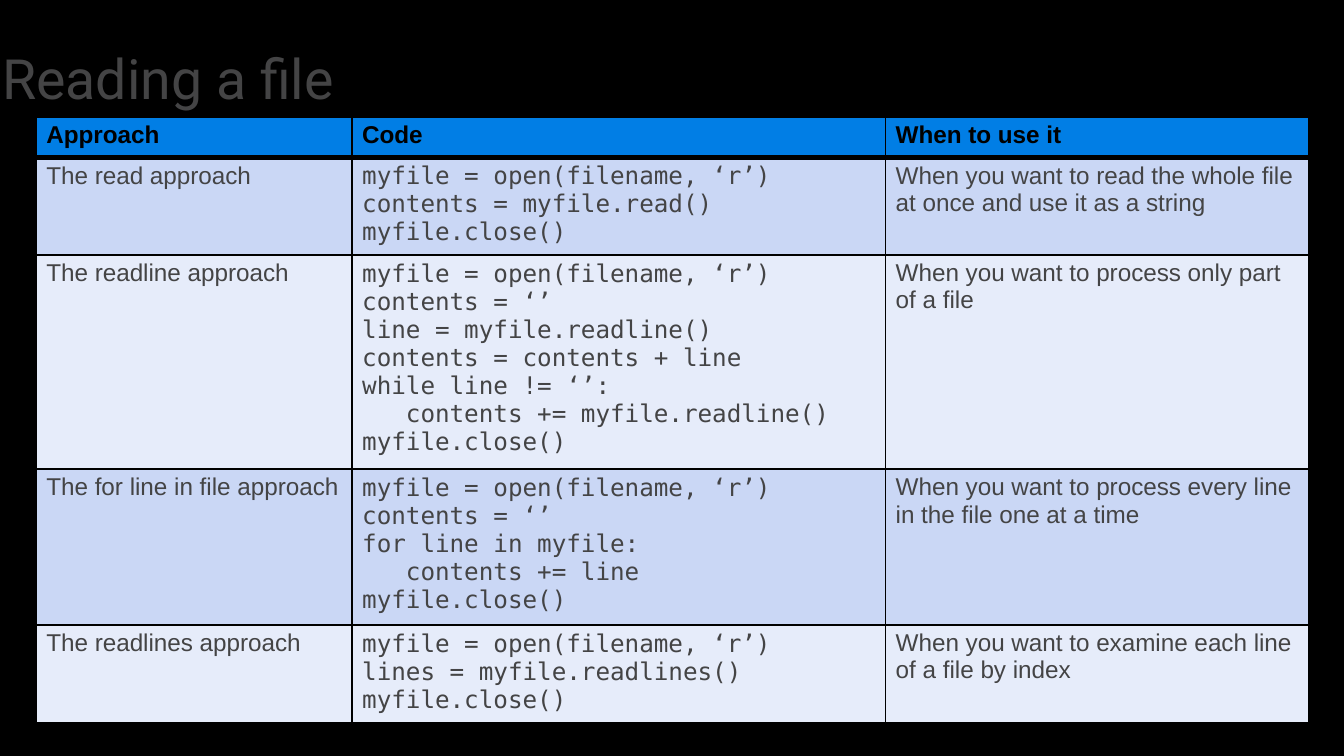
from typing import NamedTuple, Optional

from lxml import etree
from pptx import Presentation
from pptx.dml.color import RGBColor
from pptx.enum.text import MSO_ANCHOR
from pptx.oxml.ns import qn
from pptx.util import Inches, Pt

MIDDLE, TOP = MSO_ANCHOR.MIDDLE, MSO_ANCHOR.TOP
COLORS = {
    "black": "000000",
    "text": "444445",
    "header": "017EE5",
    "band": "CAD7F5",
    "light": "E6ECFA",
}
BODY_FONT, CODE_FONT, TITLE_FONT = "Arial", "DejaVu Sans Mono", "Roboto"
SLIDE_WIDTH = 10
SLIDE_HEIGHT = SLIDE_WIDTH * 9 / 16
COLUMN_WIDTHS = (2.35, 3.97, 3.15)
ROW_HEIGHT = 0.3  # rows grow to fit their text
FRAME_SIDE = 3.28
INSET = 0.3 / 4  # side inset; top and bottom take half


class Approach(NamedTuple):
    name: str
    code: str
    usage: str


HEADINGS = ("Approach", "Code", "When to use it")
APPROACHES = (
    Approach(
        "The read approach",
        "myfile = open(filename, ‘r’)\n"
        "contents = myfile.read()\n"
        "myfile.close()",
        "When you want to read the whole file at once and use it as a string",
    ),
    Approach(
        "The readline approach",
        "myfile = open(filename, ‘r’)\n"
        "contents = ‘’\n"
        "line = myfile.readline()\n"
        "contents = contents + line\n"
        "while line != ‘’:\n"
        "   contents += myfile.readline()\n"
        "myfile.close()",
        "When you want to process only part of a file",
    ),
    Approach(
        "The for line in file approach",
        "myfile = open(filename, ‘r’)\n"
        "contents = ‘’\n"
        "for line in myfile:\n"
        "   contents += line\n"
        "myfile.close()",
        "When you want to process every line in the file one at a time",
    ),
    Approach(
        "The readlines approach",
        "myfile = open(filename, ‘r’)\n"
        "lines = myfile.readlines()\n"
        "myfile.close()",
        "When you want to examine each line of a file by index",
    ),
)


def rgb(name: str) -> RGBColor:
    return RGBColor.from_string(COLORS[name])


def write(frame, text: str, *, font: str = BODY_FONT, size: float = 13,
          color: str = "text", bold: bool = False,
          spacing: Optional[float] = None) -> None:
    """Put each line of text in its own paragraph."""
    for index, line in enumerate(text.split("\n")):
        para = frame.add_paragraph() if index else frame.paragraphs[0]
        para.line_spacing = spacing
        span = para.add_run()
        span.text = line
        span.font.name = font
        span.font.size = Pt(size)
        span.font.bold = bold
        span.font.color.rgb = rgb(color)


def set_insets(box) -> None:
    box.margin_left = box.margin_right = Inches(INSET)
    box.margin_top = box.margin_bottom = Inches(INSET / 2)


def set_borders(cell, **widths: float) -> None:
    """Draw black borders; the keywords are L, R, T and B, in points."""
    properties = cell._tc.get_or_add_tcPr()
    for index, (side, width) in enumerate(widths.items()):
        line = etree.Element(qn(f"a:ln{side}"), w=str(Pt(width)))
        fill = etree.SubElement(line, qn("a:solidFill"))
        etree.SubElement(fill, qn("a:srgbClr"), val=COLORS["black"])
        properties.insert(index, line)


def fill_cell(cell, text: str, fill: str, top: float, bottom: float,
              **text_format) -> None:
    cell.fill.solid()
    cell.fill.fore_color.rgb = rgb(fill)
    cell.vertical_anchor = TOP
    set_insets(cell)
    set_borders(cell, L=1, R=1, T=top, B=bottom)
    write(cell.text_frame, text, **text_format)


def add_title(page, text: str) -> None:
    box = page.shapes.add_textbox(Inches(-0.06), Inches(0.34), Inches(8.62), Inches(0.54))
    frame = box.text_frame
    frame.word_wrap = True
    frame.vertical_anchor = MIDDLE
    set_insets(frame)
    write(frame, text, font=TITLE_FONT, size=29.7, spacing=0.9)


def add_approach_table(page) -> None:
    row_count = len(APPROACHES) + 1
    graphic = page.shapes.add_table(
        row_count, len(HEADINGS), Inches(0.27), Inches(0.87),
        Inches(sum(COLUMN_WIDTHS)), Inches(ROW_HEIGHT * row_count))
    table = graphic.table
    for column, width in zip(table.columns, COLUMN_WIDTHS):
        column.width = Inches(width)
    graphic.width = graphic.height = Inches(FRAME_SIDE)

    # Header row, with a thick rule below it
    for column, heading in enumerate(HEADINGS):
        fill_cell(table.cell(0, column), heading, "header", 1, 3,
                  color="black", bold=True)

    # Body rows in alternating fills
    for row, approach in enumerate(APPROACHES, start=1):
        fill = "band" if row % 2 else "light"
        for column, text in enumerate(approach):
            font = CODE_FONT if column == 1 else BODY_FONT
            fill_cell(table.cell(row, column), text, fill,
                      3 if row == 1 else 1, 1, font=font)


def main() -> None:
    deck = Presentation()
    deck.slide_width, deck.slide_height = Inches(SLIDE_WIDTH), Inches(SLIDE_HEIGHT)
    page = deck.slides.add_slide(deck.slide_layouts[6])
    page.background.fill.solid()
    page.background.fill.fore_color.rgb = rgb("black")
    add_title(page, "Reading a file")
    add_approach_table(page)
    deck.save("out.pptx")


if __name__ == "__main__":
    main()
